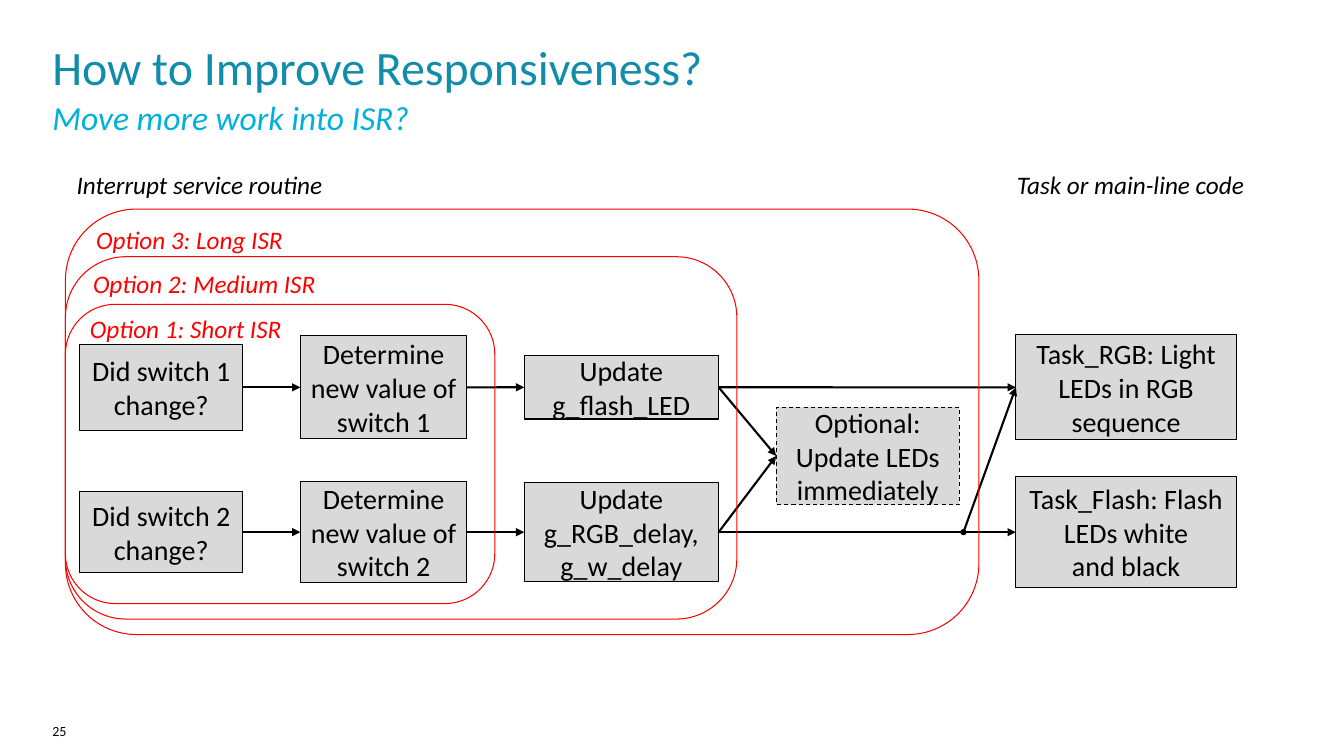
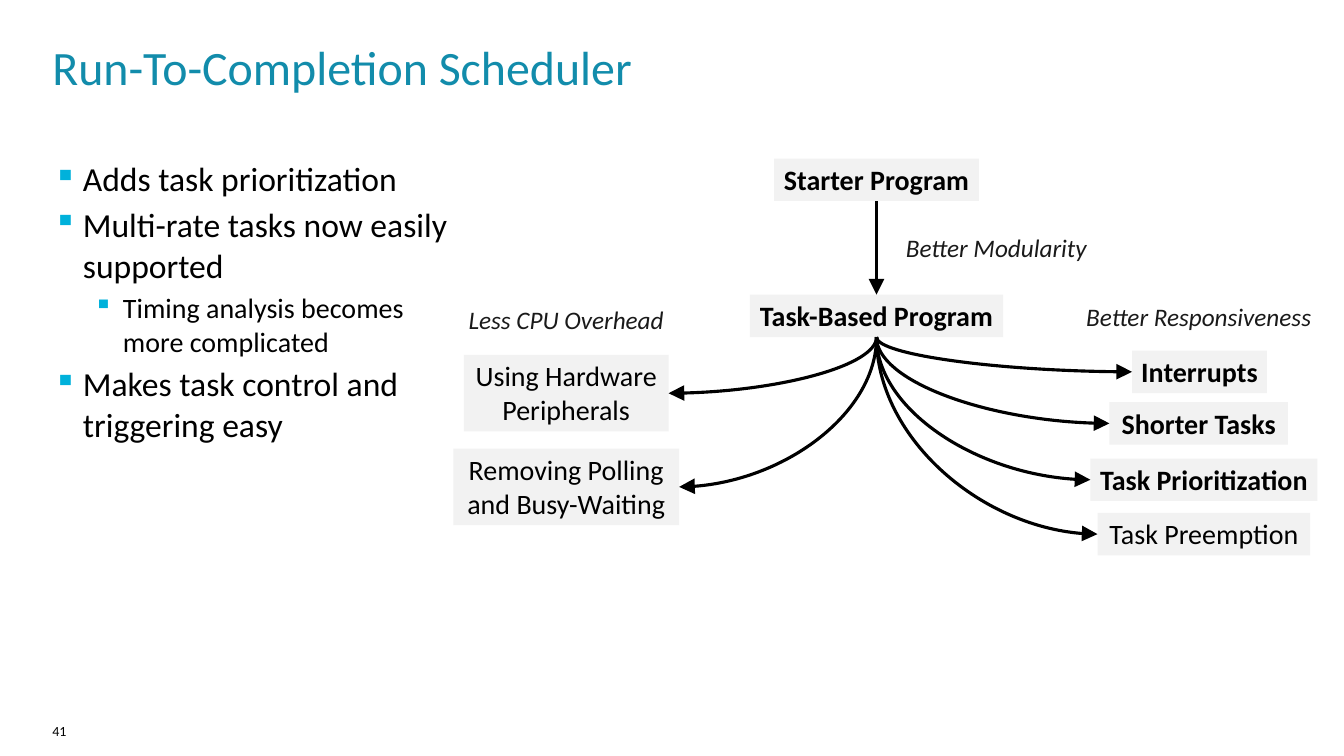
import pptx
import pptx.dml.color
import pptx.enum.dml
import pptx.enum.shapes
import pptx.enum.text
import pptx.oxml
import pptx.oxml.ns
import pptx.util

Cm = pptx.util.Cm
Pt = pptx.util.Pt
SHAPE = pptx.enum.shapes.MSO_SHAPE
CONNECTOR = pptx.enum.shapes.MSO_CONNECTOR
ANCHOR = pptx.enum.text.MSO_ANCHOR
ALIGN = pptx.enum.text.PP_ALIGN

FONT = "Calibri"
BLACK, TITLE_BLUE, CYAN, RED = "000000", "128CAB", "00B1DB", "FF0000"
BOX_GRAY, PALE_GRAY, CAPTION_GRAY = "D9D9D9", "F2F2F2", "1A1A1A"
TOP, LEFT, BOTTOM, RIGHT = range(4)

# Slide 1: lengths in centimetres
HEADINGS = [
    ("Interrupt service routine", (1.65, 3.99, 6.76, 1.3)),
    ("Task or main-line code", (25.48, 3.99, 6.02, 1.3)),
]
ROW_1, ROW_2, ROW_BETWEEN = 9.76, 13.41, 11.49
COLUMNS = {  # left, width
    "switch": (2.01, 4.11),
    "value": (7.57, 4.2),
    "update": (13.21, 4.9),
    "optional": (19.56, 4.62),
    "task": (25.6, 5.56),
}
STEPS = {  # column, row centre, height, text
    "switch 1": ("switch", ROW_1, 2.18, "Did switch 1 change?"),
    "switch 2": ("switch", ROW_2, 2.06, "Did switch 2 change?"),
    "value 1": ("value", ROW_1, 2.59, "Determine new value of switch 1"),
    "value 2": ("value", ROW_2, 2.54, "Determine new value of switch 2"),
    "flash": ("update", ROW_1, 1.6, "Update g_flash_LED"),
    "delays": ("update", ROW_2, 2.49, "Update g_RGB_delay, g_w_delay"),
    "optional": ("optional", ROW_BETWEEN, 2.46,
                 "Optional: Update LEDs immediately"),
    "task rgb": ("task", ROW_1, 2.64, "Task_RGB: Light LEDs in RGB sequence"),
    "task flash": ("task", ROW_2, 2.79,
                   "Task_Flash: Flash LEDs white\nand black"),
}
FLOWS = [
    ("switch 1", "value 1"), ("switch 2", "value 2"),
    ("value 1", "flash"), ("value 2", "delays"),
    ("flash", "optional"), ("delays", "optional"),
    ("flash", "task rgb"), ("delays", "task flash"),
]
JUNCTION = (24.28, ROW_2)
JUNCTION_SIZE = 0.13
OPTIONS = ["Option 1: Short ISR", "Option 2: Medium ISR", "Option 3: Long ISR"]

# Slide 2: lengths in centimetres
BULLETS = [
    (0, "Adds task prioritization"),
    (0, "Multi-rate tasks now easily supported"),
    (1, "Timing analysis becomes more complicated"),
    (0, "Makes task control and triggering easy"),
]
BULLET_LEVELS = [(0.74, 24), (1.75, 20)]  # indent, text size
HANGING = 0.74
PROGRAMS = [  # text, centre, size, bold
    ("Starter Program", (22.09, 4.53), (5.16, 1.07), True),
    ("Task-Based Program", (22.09, 7.96), (6.38, 1.07), True),
]
IMPROVEMENTS = [  # text, centre, size, bold, side that the arrow meets
    ("Using Hardware\nPeripherals", (14.27, 9.91), (5.16, 1.93), False, RIGHT),
    ("Removing Polling\nand Busy-Waiting", (14.27, 12.27), (5.69, 1.93),
     False, RIGHT),
    ("Interrupts", (30.23, 9.37), (3.4, 1.07), True, LEFT),
    ("Shorter Tasks", (30.21, 10.67), (4.5, 1.07), True, LEFT),
    ("Task Prioritization", (30.34, 12.09), (5.72, 1.07), True, LEFT),
    ("Task Preemption", (30.34, 13.46), (5.36, 1.07), False, LEFT),
]
CAPTIONS = [  # text, centre, width
    ("Better Modularity", (25.11, 6.26), 5.05),
    ("Less CPU Overhead", (14.27, 8.06), 5.41),
    ("Better Responsiveness", (30.21, 7.99), 6.17),
]
CAPTION_HEIGHT = 0.99


def rgb(value):
    return pptx.dml.color.RGBColor.from_string(value)


def centred(centre, size):
    return (centre[0] - size[0] / 2, centre[1] - size[1] / 2, *size)


def set_font(font, size, color, bold=False, italic=False):
    font.name = FONT
    font.size = Pt(size)
    font.color.rgb = rgb(color)
    font.bold = bold
    font.italic = italic


def write(shape, text, size, color=BLACK, bold=False, italic=False,
          align=ALIGN.LEFT, anchor=ANCHOR.TOP, insets=(0, 0), wrap=True):
    """Write one paragraph; a newline in the text becomes a line break."""
    frame = shape.text_frame
    frame.word_wrap = wrap
    frame.vertical_anchor = anchor
    frame.margin_left = frame.margin_right = Cm(insets[0])
    frame.margin_top = frame.margin_bottom = Cm(insets[1])
    paragraph = frame.paragraphs[0]
    paragraph.alignment = align
    for index, line in enumerate(text.split("\n")):
        if index:
            paragraph.add_line_break()
        run = paragraph.add_run()
        run.text = line
        set_font(run.font, size, color, bold, italic)
    return paragraph


def add_text(slide, box, text, size, **style):
    write(slide.shapes.add_textbox(*map(Cm, box)), text, size, **style)


def add_box(slide, box, fill=None, line=None, preset=SHAPE.RECTANGLE):
    shape = slide.shapes.add_shape(preset, *map(Cm, box))
    shape.shadow.inherit = False
    if fill:
        shape.fill.solid()
        shape.fill.fore_color.rgb = rgb(fill)
    else:
        shape.fill.background()
    if line:
        shape.line.color.rgb = rgb(line)
        shape.line.width = Pt(0.75)
    else:
        shape.line.fill.background()
    return shape


def add_arrow(slide, width, start=None, end=None, point=(0, 0),
              kind=CONNECTOR.STRAIGHT, head="tailEnd", head_size="med"):
    """Join (shape, side) pairs; an end that is not given lies at point."""
    x, y = map(Cm, point)
    connector = slide.shapes.add_connector(kind, x, y, x, y)
    if start:
        connector.begin_connect(*start)
    if end:
        connector.end_connect(*end)
    connector.line.color.rgb = rgb(BLACK)
    connector.line.width = Pt(width)
    properties = connector._element.spPr
    if kind == CONNECTOR.CURVE:
        properties.find(pptx.oxml.ns.qn("a:prstGeom")).set(
            "prst", "curvedConnector2")
    line = properties.find(pptx.oxml.ns.qn("a:ln"))
    line.append(pptx.oxml.parse_xml(
        f'<a:{head} {pptx.oxml.ns.nsdecls("a")} type="triangle"'
        f' w="{head_size}" len="{head_size}"/>'))
    properties.append(pptx.oxml.parse_xml(
        f'<a:effectLst {pptx.oxml.ns.nsdecls("a")}/>'))


def add_slide(presentation, title, number):
    slide = presentation.slides.add_slide(presentation.slide_layouts[6])
    add_text(slide, (1.32, 18.21, 3.63, 0.66), number, 10)
    add_text(slide, (1.32, 0.94, 31.01, 1.6), title, 34.2, color=TITLE_BLUE)
    return slide


def add_bullets(slide, box):
    frame = slide.shapes.add_textbox(*map(Cm, box)).text_frame
    frame.word_wrap = True
    frame.margin_left = frame.margin_right = 0
    frame.margin_top = frame.margin_bottom = 0
    for index, (level, text) in enumerate(BULLETS):
        paragraph = frame.add_paragraph() if index else frame.paragraphs[0]
        indent, size = BULLET_LEVELS[level]
        properties = paragraph._p.get_or_add_pPr()
        properties.set("marL", str(Cm(indent)))
        properties.set("indent", str(-Cm(HANGING)))
        paragraph.level = level
        if index:
            paragraph.space_before = Pt(4)
        for element in (f'buClr {{}}><a:srgbClr val="{CYAN}"/></a:buClr>',
                        'buSzPct {} val="95000"/>',
                        'buChar {} char="▪"/>'):
            properties.append(pptx.oxml.parse_xml(
                "<a:" + element.format(pptx.oxml.ns.nsdecls("a"))))
        run = paragraph.add_run()
        run.text = text
        set_font(run.font, size, BLACK)


def build_responsiveness(presentation):
    slide = add_slide(presentation, "How to Improve Responsiveness?", "25")
    add_text(slide, (1.32, 2.44, 32.2, 1.19), "Move more work into ISR?", 24,
             color=CYAN, italic=True)
    for text, box in HEADINGS:
        add_text(slide, box, text, 18, italic=True, align=ALIGN.CENTER,
                 anchor=ANCHOR.MIDDLE, wrap=False)

    steps = {}
    for name, (column, row, height, text) in STEPS.items():
        left, width = COLUMNS[column]
        shape = add_box(slide, (left, row - height / 2, width, height),
                        BOX_GRAY, BLACK)
        write(shape, text, 20, align=ALIGN.CENTER, anchor=ANCHOR.MIDDLE,
              insets=(0.2, 0.13))
        steps[name] = shape
    steps["optional"].line.dash_style = pptx.enum.dml.MSO_LINE.DASH

    for source, target in FLOWS:
        add_arrow(slide, 1.5, (steps[source], RIGHT), (steps[target], LEFT))
    add_arrow(slide, 1.5, end=(steps["task rgb"], LEFT), point=JUNCTION)
    add_box(slide, centred(JUNCTION, (JUNCTION_SIZE, JUNCTION_SIZE)),
            BLACK, BLACK, SHAPE.OVAL)

    for index, text in enumerate(OPTIONS):
        box = (1.65, 7.67 - 1.2 * index, 10.82 + 6.1 * index,
               7.54 + 1.59 * index)
        outline = add_box(slide, box, line=RED, preset=SHAPE.ROUNDED_RECTANGLE)
        paragraph = write(outline, text, 18, color=RED, italic=True,
                          insets=(0.25, 0))
        paragraph.line_spacing = 0.8


def build_scheduler(presentation):
    slide = add_slide(presentation, "Run-To-Completion Scheduler", "41")
    add_bullets(slide, (1.35, 3.99, 10.08, 13))
    label = dict(align=ALIGN.CENTER, insets=(0.23, 0.1), wrap=False)

    def add_label(text, centre, size, bold):
        shape = add_box(slide, centred(centre, size), PALE_GRAY)
        write(shape, text, 20, bold=bold, **label)
        return shape

    starter, task_based = [add_label(*program) for program in PROGRAMS]
    add_arrow(slide, 2.25, (starter, BOTTOM), (task_based, TOP),
              head_size="lg")
    for *content, side in IMPROVEMENTS:
        improvement = add_label(*content)
        add_arrow(slide, 2.25, (improvement, side), (task_based, BOTTOM),
                  kind=CONNECTOR.CURVE, head="headEnd", head_size="lg")
    for text, centre, width in CAPTIONS:
        add_text(slide, centred(centre, (width, CAPTION_HEIGHT)), text, 18,
                 color=CAPTION_GRAY, italic=True, **label)


def main():
    presentation = pptx.Presentation()
    presentation.slide_width = Cm(33.87)
    presentation.slide_height = Cm(19.05)
    build_responsiveness(presentation)
    build_scheduler(presentation)
    presentation.save("out.pptx")


if __name__ == "__main__":
    main()
